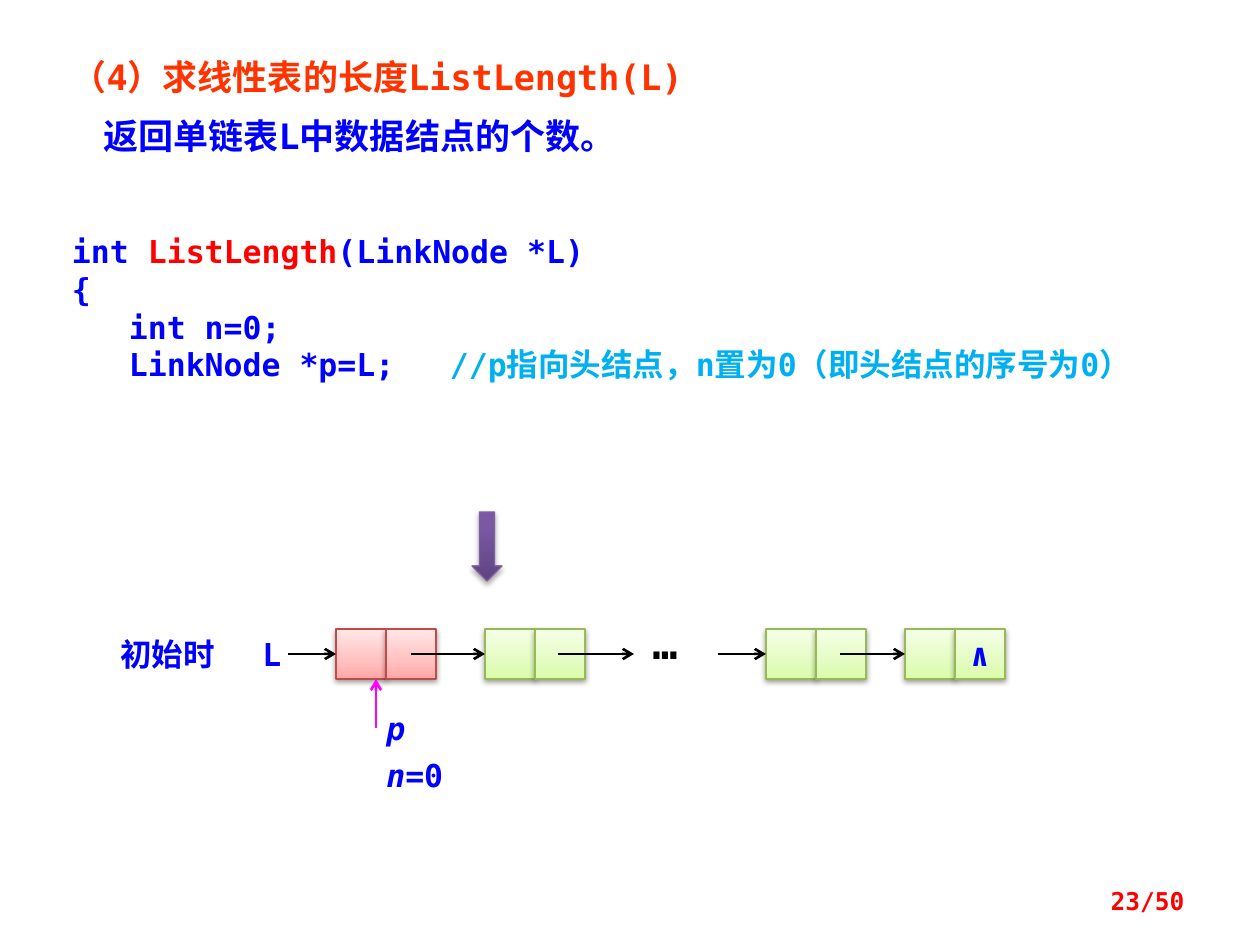
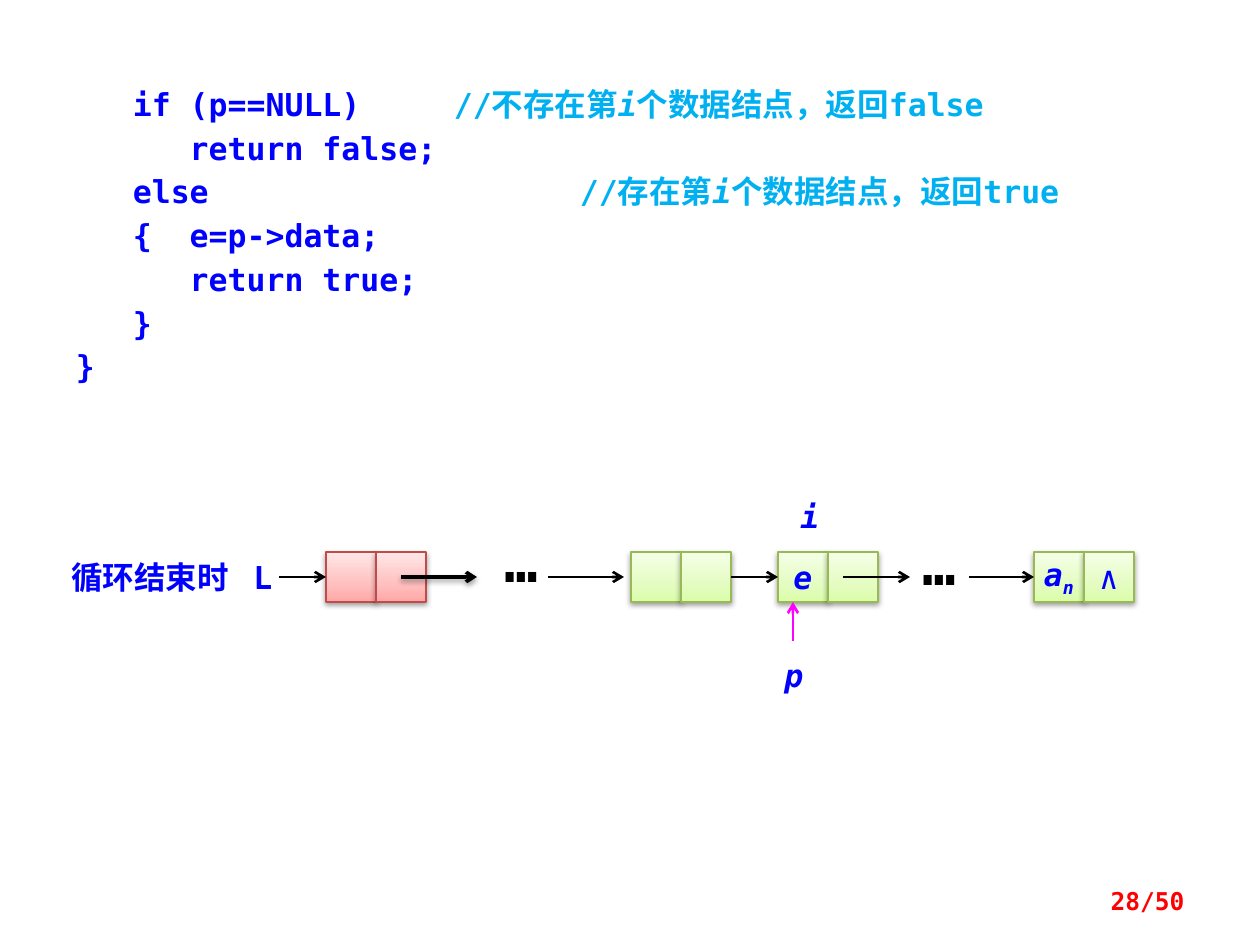
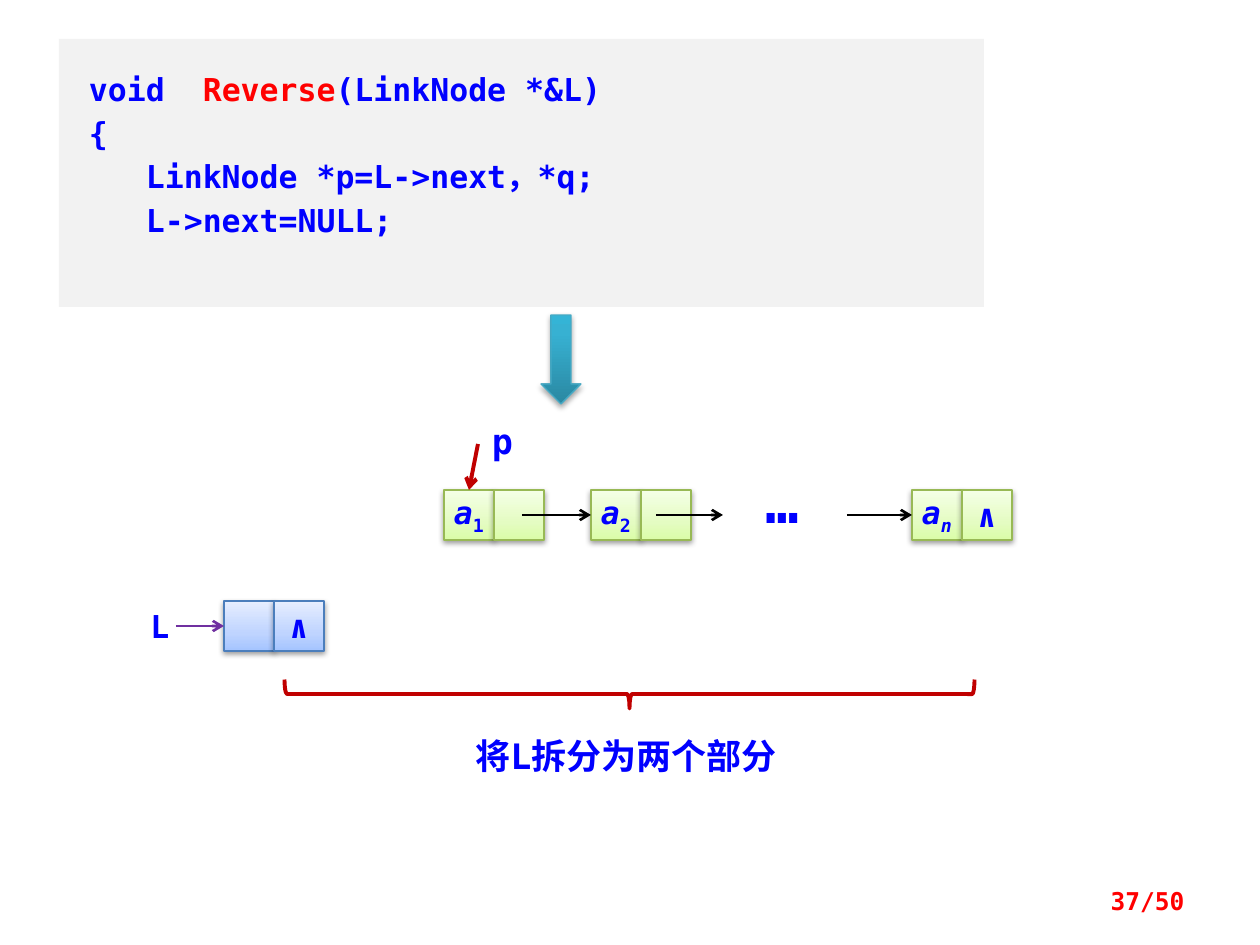
from lxml import etree
from pptx import Presentation
from pptx import util as u
from pptx.dml.color import RGBColor
from pptx.enum import shapes, text
from pptx.oxml.ns import qn

PX = 914400 / 126
FONT = "DejaVu Sans Mono"
BLUE, RED, ORANGE, SKY = "0000FF", "FF0000", "FF3300", "00B0F0"
BLACK, WHITE, GREY = "000000", "FFFFFF", "F2F2F2"
MAGENTA, PURPLE, CRIMSON = "FF00FF", "7030A0", "C00000"

# Gradient stops from bottom to top, then the outline colour
HEAD_RED = ([(0, "FFA6A5"), (35, "FFC0BF"), (100, "FFE7E7")], "BF4C48")
HEAD_BLUE = ([(0, "A4C4FF"), (35, "BFD4FF"), (100, "E6EEFF")], "4B7EBC")
DATA_GREEN = ([(0, "DAFDA7"), (35, "E4FCC2"), (100, "F5FFE7")], "98B955")
STEP_PURPLE = ([(0, "5F4480"), (80, "7B58A6"), (100, "7C57A8")], "7D60A0")
STEP_TEAL = ([(0, "2A88A2"), (80, "37B1D2"), (100, "34B4D6")], "46AAC5")

CELL = 50
TAB = 126
TOP, LEFT, RIGHT = 0, 1, 3
ITALIC = {"italic": True}
SUB = {"baseline": -25000}
NIL = ["∧"]


def px(length):
    return u.Emu(round(length * PX))


def box(*lengths):
    return [px(length) for length in lengths]


def rgb(hex_color):
    return RGBColor.from_string(hex_color)


def format_run(run, size, color=BLUE, bold=True, italic=False, baseline=None):
    font = run.font
    font.size, font.bold, font.italic = u.Pt(size), bold, italic
    font.name = FONT
    font.color.rgb = rgb(color)
    properties = font._element
    etree.SubElement(properties, qn("a:ea")).set("typeface", FONT)
    if baseline:
        properties.set("baseline", str(baseline))


def write(frame, lines, size=18, align=text.PP_ALIGN.LEFT, leading=None,
          gap=0, **style):
    """Fill a frame; each line is a list of strings or (string, style) pairs."""
    for number, parts in enumerate(lines):
        paragraph = frame.add_paragraph() if number else frame.paragraphs[0]
        paragraph.alignment = align
        if leading:
            paragraph.line_spacing = u.Pt(leading)
        if number and gap:
            paragraph.space_before = u.Pt(gap)
        for part in parts:
            words, own = (part, {}) if isinstance(part, str) else part
            run = paragraph.add_run()
            run.text = words
            format_run(run, size, **{**style, **own})


def set_tabs(frame, count=4):
    """Give every paragraph evenly spaced tab stops."""
    for paragraph in frame.paragraphs:
        properties = paragraph._p.get_or_add_pPr()
        stops = etree.SubElement(properties, qn("a:tabLst"))
        for number in range(1, count + 1):
            etree.SubElement(stops, qn("a:tab"), pos=str(px(number * TAB)),
                             algn="l")


def label(slide, x, y, width, height, lines,
          anchor=text.MSO_ANCHOR.TOP, **style):
    frame = slide.shapes.add_textbox(*box(x, y, width, height)).text_frame
    frame.word_wrap = True
    frame.vertical_anchor = anchor
    write(frame, lines, **style)


def heading(slide, x, y, width, height, words):
    title = slide.shapes.title
    title.left, title.top, title.width, title.height = box(x, y, width, height)
    frame = title.text_frame
    frame.auto_size = text.MSO_AUTO_SIZE.NONE
    frame.vertical_anchor = text.MSO_ANCHOR.TOP
    write(frame, [[words]], size=20, color=ORANGE)


def page_number(slide, number):
    label(slide, 903, 876, 294, 50, [[f"{number}/50"]], size=14, color=RED,
          align=text.PP_ALIGN.RIGHT, anchor=text.MSO_ANCHOR.MIDDLE)


def code_block(slide, x, y, width, height, lines, fill=WHITE, inset=13,
               leading=None):
    block = slide.shapes.add_shape(shapes.MSO_SHAPE.RECTANGLE,
                                   *box(x, y, width, height))
    block.shadow.inherit = False
    block.fill.solid()
    block.fill.fore_color.rgb = rgb(fill)
    block.line.fill.background()
    frame = block.text_frame
    frame.word_wrap = True
    frame.vertical_anchor = text.MSO_ANCHOR.TOP
    frame.margin_left, frame.margin_right = px(inset), px(13)
    frame.margin_top = frame.margin_bottom = px(25)
    write(frame, lines, leading=leading)
    set_tabs(frame)


def cast_shadow(shape, opacity=38, distance=20000):
    properties = shape._element.spPr
    effects = properties.find(qn("a:effectLst"))
    if effects is None:
        effects = etree.SubElement(properties, qn("a:effectLst"))
    shadow = etree.SubElement(effects, qn("a:outerShdw"), blurRad="40000",
                              dist=str(distance), dir="5400000",
                              rotWithShape="0")
    color = etree.SubElement(shadow, qn("a:srgbClr"), val=BLACK)
    etree.SubElement(color, qn("a:alpha"), val=str(opacity * 1000))


def glossy_shape(slide, kind, x, y, width, height, palette, **shadow):
    stops, outline = palette
    shape = slide.shapes.add_shape(kind, *box(x, y, width, height))
    shape.shadow.inherit = False
    shape.fill.gradient()
    shape.fill.gradient_angle = 90
    stop_list = shape._element.spPr.find(qn("a:gradFill")).find(qn("a:gsLst"))
    for old_stop in list(stop_list):
        stop_list.remove(old_stop)
    for position, color in stops:
        stop = etree.SubElement(stop_list, qn("a:gs"), pos=str(position * 1000))
        etree.SubElement(stop, qn("a:srgbClr"), val=color)
    shape.line.color.rgb = rgb(outline)
    shape.line.width = u.Pt(0.75)
    cast_shadow(shape, **shadow)
    return shape


def node(slide, x, y, palette=DATA_GREEN, data=(), link=()):
    """Draw a list node and return its data cell and its link cell."""
    cells = []
    for column, parts in enumerate((data, link)):
        cell = glossy_shape(slide, shapes.MSO_SHAPE.RECTANGLE,
                            x + column * CELL, y, CELL, CELL, palette)
        if parts:
            frame = cell.text_frame
            frame.word_wrap = False
            frame.vertical_anchor = text.MSO_ANCHOR.MIDDLE
            write(frame, [parts], align=text.PP_ALIGN.CENTER)
        cells.append(cell)
    return cells


def step_arrow(slide, x, y, width, height, palette):
    glossy_shape(slide, shapes.MSO_SHAPE.DOWN_ARROW, x, y, width, height,
                 palette, opacity=35, distance=23000)


def arrow(slide, start, end, color=BLACK, width=1.5):
    pointer = slide.shapes.add_connector(shapes.MSO_CONNECTOR.STRAIGHT,
                                         *box(*start, *end))
    pointer.line.color.rgb = rgb(color)
    pointer.line.width = u.Pt(width)
    properties = pointer._element.spPr
    etree.SubElement(properties.find(qn("a:ln")), qn("a:tailEnd"), type="arrow")
    etree.SubElement(properties, qn("a:effectLst"))
    return pointer


def arrow_to(slide, start, cell, side=LEFT, **style):
    """Draw an arrow that ends joined to the middle of a cell's side."""
    pointer = arrow(slide, start, start, **style)
    pointer.end_connect(cell, side)
    return pointer


def dots(slide, x, y, size=32, color=BLACK):
    label(slide, x, y, 100, 79, [["…"]], size=size, color=color)


def length_slide(deck):
    slide = deck.slides.add_slide(deck.slide_layouts[5])
    heading(slide, 59, 49, 718, 59, "（4）求线性表的长度ListLength(L)")
    label(slide, 91, 108, 686, 59, [["返回单链表L中数据结点的个数。"]], size=20)
    code_block(slide, 59, 207, 1142, 241, [
        ["int ", ("ListLength", {"color": RED}), "(LinkNode *L)"],
        ["{"],
        ["   int n=0;"],
        ["   LinkNode *p=L;\t",
         ("//p指向头结点，n置为0（即头结点的序号为0）", {"color": SKY})],
    ])
    step_arrow(slide, 472, 512, 30, 69, STEP_PURPLE)

    row = 629
    middle = row + CELL // 2
    label(slide, 108, row, 139, CELL, [["初始时"]])
    label(slide, 250, row, 40, CELL, [["L"]])
    head, _ = node(slide, 336, row, HEAD_RED)
    first, _ = node(slide, 485, row)
    later, _ = node(slide, 766, row)
    last, _ = node(slide, 905, row, link=NIL)
    for start, cell in ((288, head), (411, first), (718, later), (840, last)):
        arrow_to(slide, (start, middle), cell)
    arrow(slide, (558, middle), (634, middle))
    dots(slide, 640, 611, size=24)
    arrow(slide, (376, 728), (376, row + CELL), MAGENTA)
    label(slide, 374, 709, 116, 96, [[("p", ITALIC)], [("n", ITALIC), "=0"]],
          leading=18, gap=9)
    page_number(slide, 23)


def get_element_slide(deck):
    slide = deck.slides.add_slide(deck.slide_layouts[6])
    note = {"color": SKY}
    index = ("i", {**note, **ITALIC})
    code_block(slide, 63, 54, 1133, 357, [
        ["   if (p==NULL)\t", ("//不存在第", note), index,
         ("个数据结点，返回false", note)],
        ["      return false;"],
        ["   else\t\t\t", ("//存在第", note), index,
         ("个数据结点，返回true", note)],
        ["   {  e=p->data;"],
        ["      return true;"],
        ["   }"],
        ["}"],
    ], leading=25)

    row = 552
    middle = row + CELL // 2
    label(slide, 59, row, 208, CELL, [["循环结束时"]])
    label(slide, 241, row, 40, CELL, [["L"]])
    head, _ = node(slide, 326, row, HEAD_RED)
    _, previous_link = node(slide, 631, row)
    found, _ = node(slide, 778, row, data=[("e", ITALIC)])
    last, _ = node(slide, 1034, row,
                   data=[("a", ITALIC), ("n", {**ITALIC, **SUB})],
                   link=[("∧", {"bold": False})])
    arrow_to(slide, (279, middle), head)
    arrow_to(slide, (731, middle), found).begin_connect(previous_link, RIGHT)
    arrow_to(slide, (969, middle), last)
    cast_shadow(arrow(slide, (401, middle), (477, middle), width=2))
    for start, end in ((548, 624), (843, 910)):
        arrow(slide, (start, middle), (end, middle))
    dots(slide, 492, 520)
    dots(slide, 910, 523)
    arrow(slide, (793, 641), (793, row + CELL), MAGENTA)
    label(slide, 788, 491, 50, CELL, [[("i", ITALIC)]])
    label(slide, 772, 650, 50, CELL, [[("p", ITALIC)]])
    page_number(slide, 28)


def reverse_slide(deck):
    slide = deck.slides.add_slide(deck.slide_layouts[6])
    code_block(slide, 59, 39, 925, 268, [
        ["void  ", ("Reverse", {"color": RED}), "(LinkNode *&L)"],
        ["{"],
        ["   LinkNode *p=L->next，*q;"],
        ["   L->next=NULL;"],
    ], fill=GREY, inset=30, leading=25)
    step_arrow(slide, 541, 315, 40, 89, STEP_TEAL)

    row = 490
    middle = row + CELL // 2
    first, _ = node(slide, 444, row, data=[("a", ITALIC), ("1", SUB)])
    second, _ = node(slide, 591, row, data=[("a", ITALIC), ("2", SUB)])
    last, _ = node(slide, 912, row,
                   data=[("a", ITALIC), ("n", {**ITALIC, **SUB})], link=NIL)
    arrow_to(slide, (522, middle), second)
    arrow(slide, (656, middle), (723, middle))
    arrow_to(slide, (847, middle), last)
    dots(slide, 753, 461, color=BLUE)
    arrow_to(slide, (478, 444), first, TOP, color=CRIMSON, width=2.25)
    label(slide, 468, 413, 69, 55, [["p"]], size=20,
          align=text.PP_ALIGN.CENTER)

    head_row = 601
    head, _ = node(slide, 224, head_row, HEAD_BLUE, link=NIL)
    arrow_to(slide, (176, head_row + CELL // 2), head, color=PURPLE)
    label(slide, 138, head_row, 40, CELL, [["L"]])

    brace = slide.shapes.add_shape(shapes.MSO_SHAPE.RIGHT_BRACE,
                                   *box(615, 349, 29, 690))
    brace.rotation = 90
    brace.shadow.inherit = False
    brace.fill.background()
    brace.line.color.rgb = rgb(CRIMSON)
    brace.line.width = u.Pt(2.25)
    label(slide, 463, 728, 364, 55, [["将L拆分为两个部分"]], size=20)
    page_number(slide, 37)


def main():
    deck = Presentation()
    deck.slide_width, deck.slide_height = px(1260), px(945)
    length_slide(deck)
    get_element_slide(deck)
    reverse_slide(deck)
    deck.save("out.pptx")


if __name__ == "__main__":
    main()
